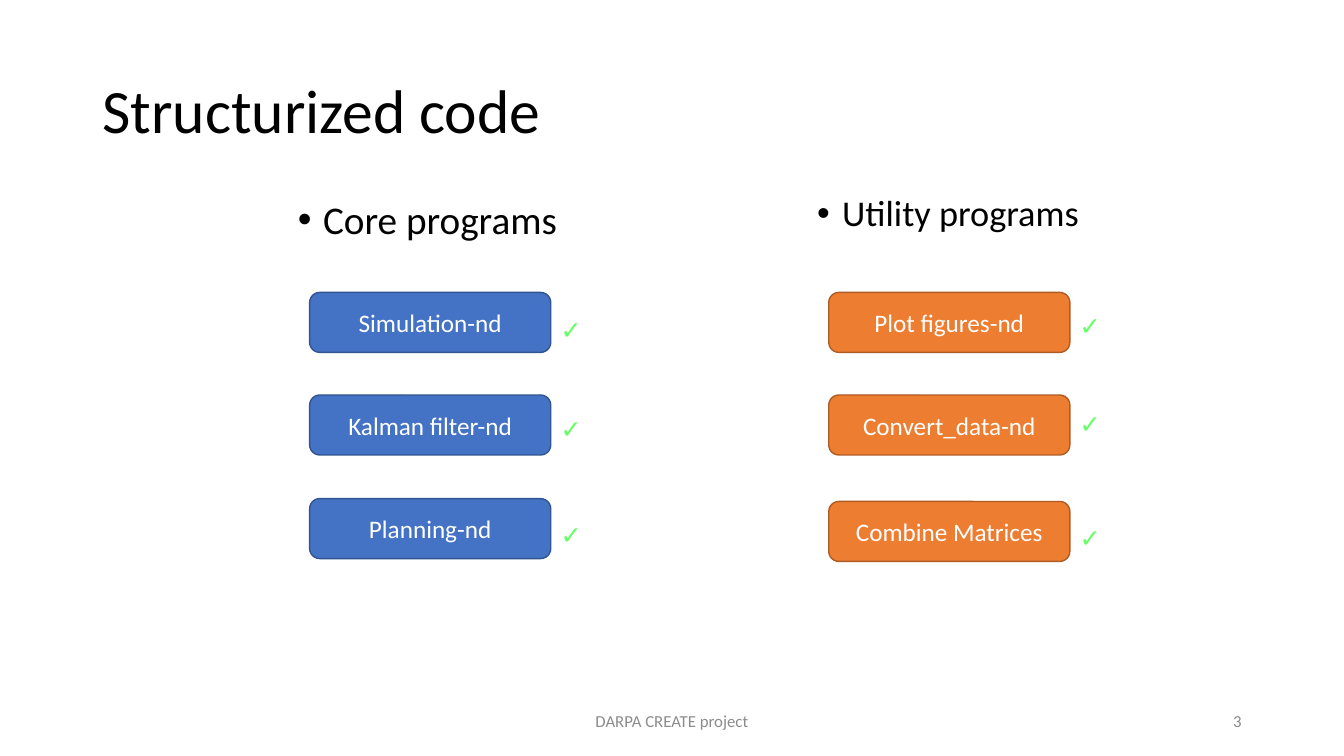
from pptx import Presentation
from pptx.dml.color import RGBColor
from pptx.enum.shapes import MSO_SHAPE as Shape
from pptx.enum.text import MSO_ANCHOR as Anchor, MSO_AUTO_SIZE as AutoSize, PP_ALIGN as Align
from pptx.util import Pt


def place(box, left, top, width, height):
    box.left, box.top, box.width, box.height = Pt(left), Pt(top), Pt(width), Pt(height)


def write(box, text, size, color, align=Align.LEFT, anchor=Anchor.MIDDLE):
    frame = box.text_frame
    frame.word_wrap = True
    frame.auto_size = AutoSize.NONE
    frame.vertical_anchor = anchor
    paragraph = frame.paragraphs[0]
    paragraph.alignment = align
    run = paragraph.add_run()
    run.text = text
    run.font.name = "Calibri"
    run.font.size = Pt(size)
    run.font.color.rgb = RGBColor.from_string(color)
    return paragraph


deck = Presentation()
deck.slide_width, deck.slide_height = Pt(960), Pt(540)
slide = deck.slides.add_slide(deck.slide_layouts[3])
title, core_heading, utility_heading = slide.placeholders

place(title, 66, 28.75, 828, 104.4)
write(title, "Structurized code", 44, "000000").line_spacing = 0.9

columns = [
    (core_heading, "Core programs", 28, 139.7, 221.2, "4472C4", "325491",
     [("Simulation-nd", 208.9, 221.2), ("Kalman filter-nd", 282.2, 291.8),
      ("Planning-nd", 356.2, 367.4)]),
    (utility_heading, "Utility programs", 25.9, 136, 592, "ED7D31", "AF5C24",
     [("Plot figures-nd", 208.9, 218.2), ("Convert_data-nd", 282.2, 288.2),
      ("Combine Matrices", 358.2, 369.2)]),
]
box_width, box_height = 172.2, 42.8

for heading, name, size, heading_top, left, fill, outline, programs in columns:
    place(heading, left - 15.6, heading_top, 203, 54)
    bullet = write(heading, name, size, "000000", anchor=Anchor.TOP)
    bullet.line_spacing = 0.9
    bullet.space_before = Pt(10)
    indents = bullet._p.get_or_add_pPr()
    indents.set("marL", str(Pt(18)))
    indents.set("indent", str(Pt(-18)))

    for program_name, top, check_top in programs:
        program = slide.shapes.add_shape(
            Shape.ROUNDED_RECTANGLE, Pt(left), Pt(top), Pt(box_width), Pt(box_height))
        program.shadow.inherit = False
        program.fill.solid()
        program.fill.fore_color.rgb = RGBColor.from_string(fill)
        program.line.color.rgb = RGBColor.from_string(outline)
        program.line.width = Pt(1)
        write(program, program_name, 18, "FFFFFF", Align.CENTER)

        check = slide.shapes.add_textbox(
            Pt(left + box_width), Pt(check_top), Pt(56), Pt(29))
        write(check, "✓", 18, "66FF66", anchor=Anchor.TOP)

for text, left, width, align in [("DARPA CREATE project", 318, 324, Align.CENTER),
                                 ("3", 678, 216, Align.RIGHT)]:
    footer = slide.shapes.add_textbox(Pt(left), Pt(500.5), Pt(width), Pt(28.75))
    write(footer, text, 12, "8C8C8C", align)

deck.save("out.pptx")
